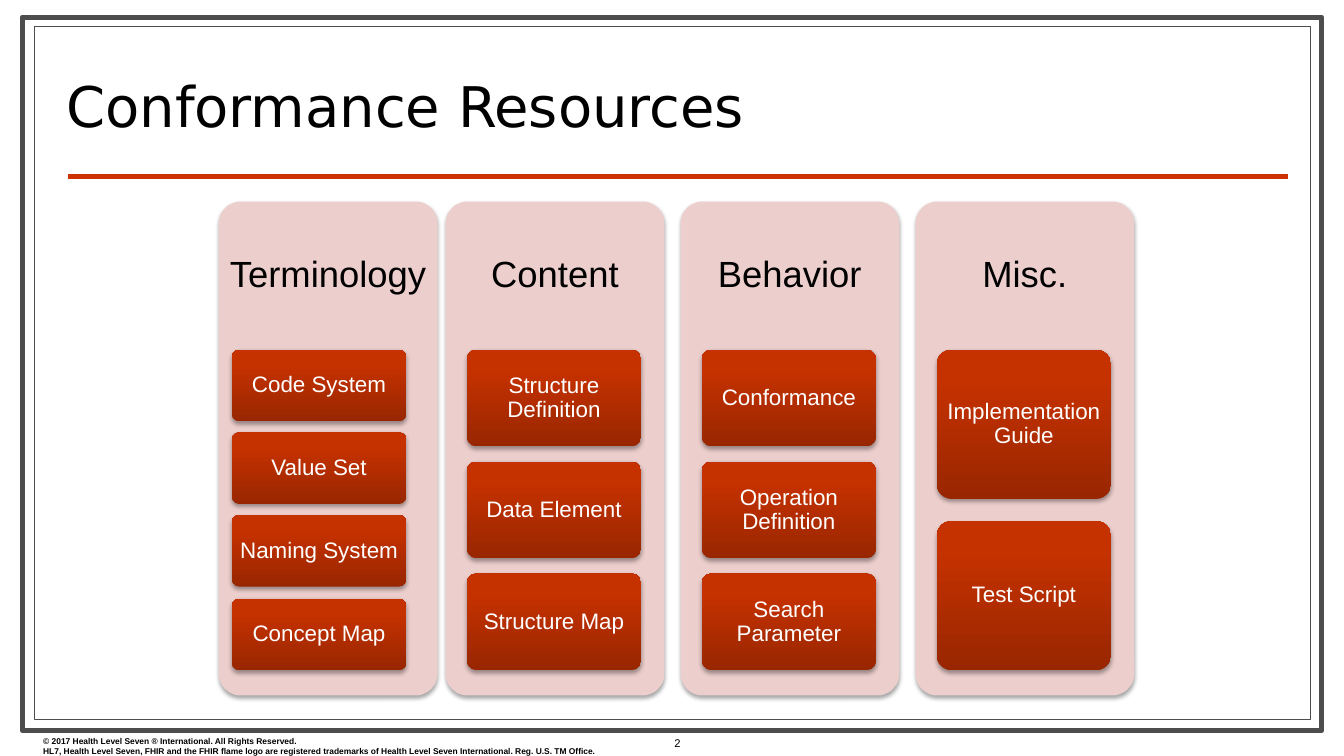
from lxml import etree
from pptx import Presentation
from pptx.dml.color import RGBColor
from pptx.enum import shapes, text
from pptx.oxml import parse_xml
from pptx.oxml.ns import nsdecls, qn
from pptx.util import Emu, Pt

PX = 9144
COLORS = {
    "white": "FFFFFF",
    "black": "000000",
    "frame": "4D4D4D",
    "rule": "CC3300",
    "panel": "ECCECC",
}
CARD_GRADIENT = [(0, "982600"), (80, "C63100"), (100, "C73200")]
FOOTER = [
    "© 2017 Health Level Seven ® International. All Rights Reserved.",
    "HL7, Health Level Seven, FHIR and the FHIR flame logo are registered trademarks "
    "of Health Level Seven International. Reg. U.S. TM Office.",
]
COLUMNS = [
    ("Terminology", 217, ["Code System", "Value Set", "Naming System", "Concept Map"]),
    ("Content", 442, ["Structure Definition", "Data Element", "Structure Map"]),
    ("Behavior", 675, ["Conformance", "Operation Definition", "Search Parameter"]),
    ("Misc.", 908, ["Implementation Guide", "Test Script"]),
]
PANEL_TOP, PANEL_WIDTH, PANEL_HEIGHT, HEADING_HEIGHT = 200, 217, 490, 147
CARD_LEFT, CARD_PITCH, CARD_WIDTH = 230, 233, 173
CARDS_TOP, CARDS_HEIGHT, GAP_RATIO = 347, 318, 2 / 13


def rgb(name):
    return RGBColor.from_string(COLORS[name])


def px(*lengths):
    return [Emu(n * PX) for n in lengths]


def write(sp, lines, size, color, font="Arial", bold=False, align=text.PP_ALIGN.LEFT,
          anchor=text.MSO_ANCHOR.TOP, spacing=1.0, insets=(10, 5), wrap=True):
    tf = sp.text_frame
    tf.word_wrap = wrap
    tf.vertical_anchor = anchor
    tf.margin_left = tf.margin_right = Emu(insets[0] * PX)
    tf.margin_top = tf.margin_bottom = Emu(insets[1] * PX)
    tf.text = "\n".join(lines)
    for p in tf.paragraphs:
        p.alignment = align
        p.line_spacing = spacing
        for r in p.runs:
            r.font.name = font
            r.font.size = Pt(size)
            r.font.bold = bold
            r.font.color.rgb = rgb(color)


def add_text(s, box, lines, size, color, **style):
    write(s.shapes.add_textbox(*px(*box)), lines, size, color, **style)


def add_frame(s, box, width):
    sp = s.shapes.add_shape(shapes.MSO_SHAPE.RECTANGLE, *px(*box))
    sp.shadow.inherit = False
    sp.fill.solid()
    sp.fill.fore_color.rgb = rgb("white")
    sp.line.color.rgb = rgb("frame")
    sp.line.width = Pt(width)


def add_rule(s, x1, x2, y):
    line = s.shapes.add_connector(shapes.MSO_CONNECTOR.STRAIGHT, *px(x1, y, x2, y))
    line.line.color.rgb = rgb("rule")
    line.line.width = Pt(3)
    etree.SubElement(line._element.spPr, qn("a:effectLst"))


def add_rounded(s, box):
    sp = s.shapes.add_shape(shapes.MSO_SHAPE.ROUNDED_RECTANGLE, *px(*box))
    sp.adjustments[0] = 0.1
    sp.line.fill.background()
    sp.shadow.inherit = False
    sp._element.spPr.find(qn("a:effectLst")).append(parse_xml(
        f'<a:outerShdw {nsdecls("a")} blurRad="40000" dist="23000" dir="5400000" '
        f'rotWithShape="0"><a:srgbClr val="{COLORS["black"]}">'
        '<a:alpha val="35000"/></a:srgbClr></a:outerShdw>'))
    return sp


def add_panel(s, left, heading):
    sp = add_rounded(s, (left, PANEL_TOP, PANEL_WIDTH, PANEL_HEIGHT))
    sp.fill.solid()
    sp.fill.fore_color.rgb = rgb("panel")
    add_text(s, (left, PANEL_TOP, PANEL_WIDTH, HEADING_HEIGHT), [heading], 26, "black",
             align=text.PP_ALIGN.CENTER, anchor=text.MSO_ANCHOR.MIDDLE,
             spacing=0.9, insets=(11, 11), wrap=False)


def add_card(s, box, label):
    sp = add_rounded(s, box)
    sp.fill.background()
    spPr = sp._element.spPr
    stops = "".join(f'<a:gs pos="{pos * 1000}"><a:srgbClr val="{color}"/></a:gs>'
                    for pos, color in CARD_GRADIENT)
    spPr.replace(spPr.find(qn("a:noFill")), parse_xml(
        f'<a:gradFill {nsdecls("a")} rotWithShape="1"><a:gsLst>{stops}</a:gsLst>'
        '<a:lin ang="16200000" scaled="0"/></a:gradFill>'))
    write(sp, [label], 16, "white", align=text.PP_ALIGN.CENTER,
          anchor=text.MSO_ANCHOR.MIDDLE, spacing=0.9, insets=(4, 3))


def add_column(s, index, heading, left, labels):
    add_panel(s, left, heading)
    n = len(labels)
    height = CARDS_HEIGHT / (n + (n - 1) * GAP_RATIO)
    pitch = height * (1 + GAP_RATIO)
    for row, label in enumerate(labels):
        add_card(s, (CARD_LEFT + index * CARD_PITCH, round(CARDS_TOP + row * pitch),
                     CARD_WIDTH, round(height)), label)


def main():
    prs = Presentation()
    prs.slide_width, prs.slide_height = px(1333, 750)
    s = prs.slides.add_slide(prs.slide_layouts[6])
    add_frame(s, (22, 17, 1289, 708), 3.5)
    add_frame(s, (34, 26, 1266, 688), 0.75)
    add_rule(s, 67, 1277, 175)
    add_text(s, (33, 725, 644, 30), FOOTER, 6, "black", bold=True)
    add_text(s, (56, 52, 1020, 90), ["Conformance Resources"], 40, "black",
             font="DejaVu Sans", anchor=text.MSO_ANCHOR.BOTTOM, spacing=0.8)
    add_text(s, (633, 725, 78, 25), ["2"], 8, "black",
             align=text.PP_ALIGN.CENTER, anchor=text.MSO_ANCHOR.MIDDLE)
    for index, column in enumerate(COLUMNS):
        add_column(s, index, *column)
    prs.save("out.pptx")


if __name__ == "__main__":
    main()
